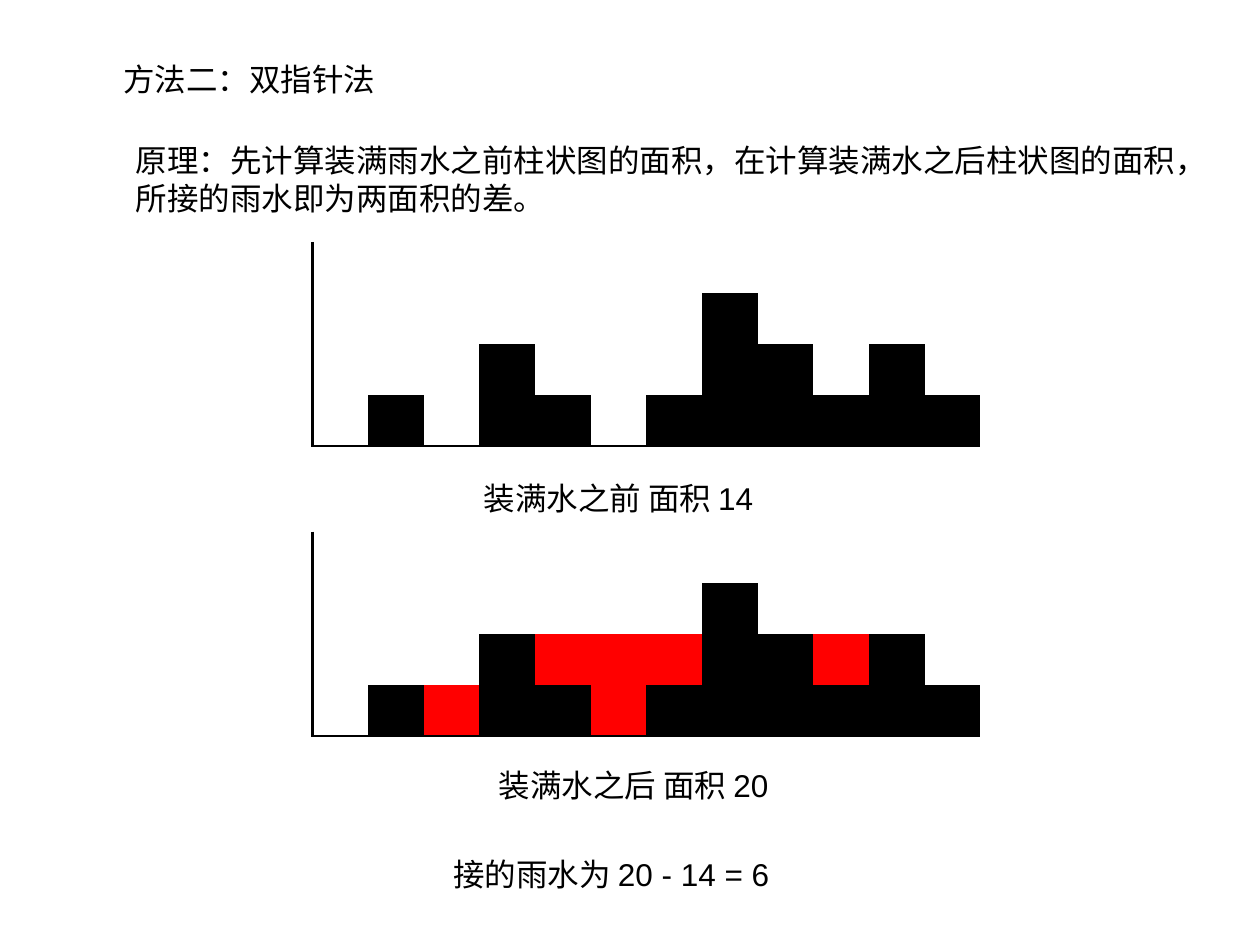
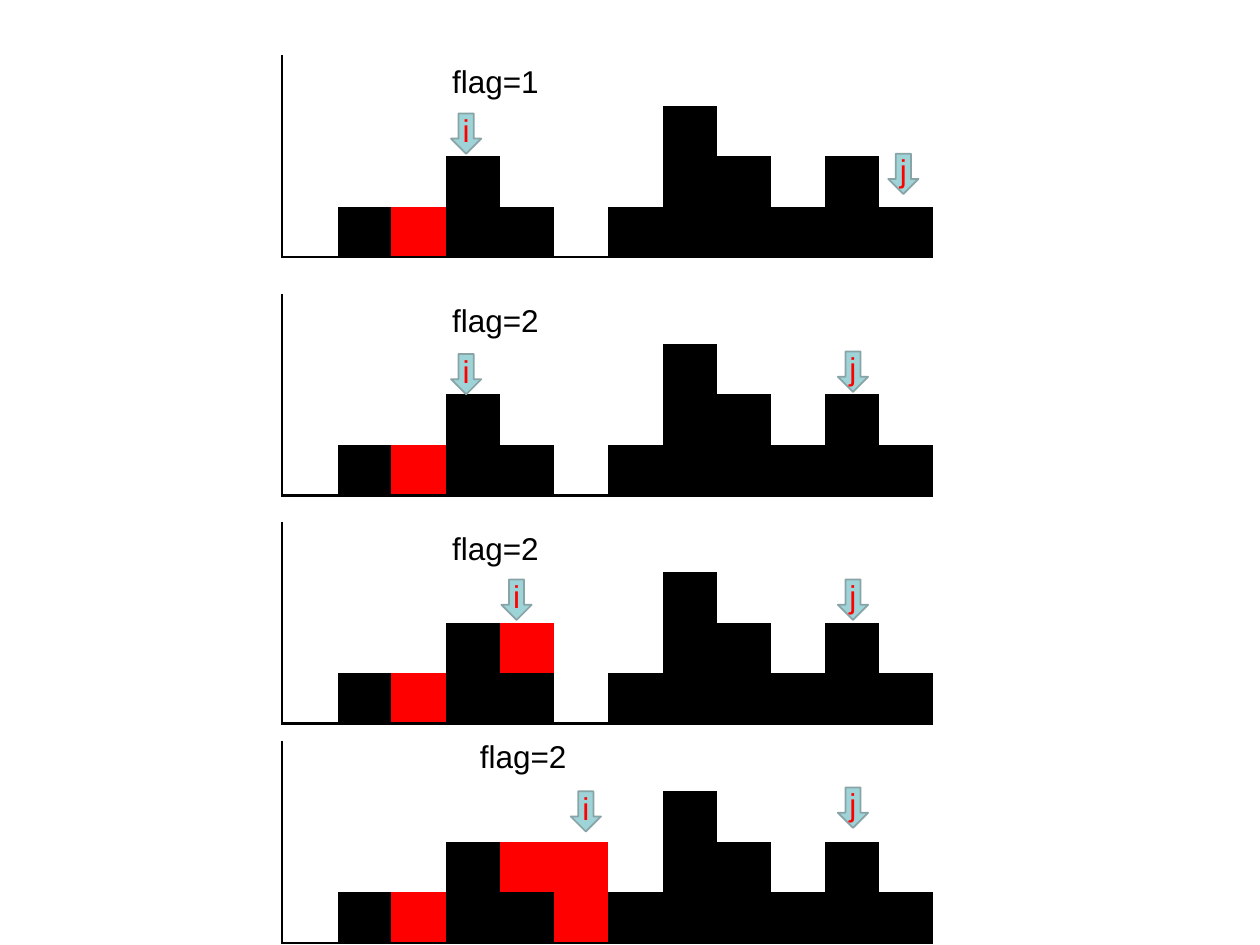
from lxml import etree
from pptx import Presentation
from pptx.dml.color import RGBColor
from pptx.enum.shapes import MSO_SHAPE
from pptx.enum.text import MSO_ANCHOR, PP_ALIGN
from pptx.oxml.ns import qn
from pptx.util import Inches, Pt

DOWN_ARROW = MSO_SHAPE.DOWN_ARROW
MIDDLE = MSO_ANCHOR.MIDDLE
CENTER = PP_ALIGN.CENTER

BLACK, WHITE, RED = "000000", "FFFFFF", "FF0000"
ARROW_FILL, ARROW_LINE = "9ED3D7", "89A4A7"
PLAIN_TABLE = "{2D5ABB26-0587-4C30-8999-92F81FD0307C}"
AXIS_WIDTH = Pt(1.5)

deck = Presentation()
deck.slide_width = Inches(10)
deck.slide_height = Inches(7.5)
COL = deck.slide_width / 100
ROW = deck.slide_height / 75


def rgb(value):
    return RGBColor.from_string(value)


def write(frame, text, color):
    para = frame.paragraphs[0]
    span = para.add_run()
    span.text = text
    span.font.name = "Arial"
    span.font.size = Pt(18)
    span.font.color.rgb = rgb(color)
    return para


blank = deck.slide_layouts[6]
method_page = deck.slides.add_slide(blank)
steps_page = deck.slides.add_slide(blank)

BARS = [0, 1, 0, 2, 1, 0, 1, 3, 2, 1, 2, 1]
LEVELS = 4
LEVEL_ROWS = 4
METHOD_COLS = [4.42] * 12
STEP_COLS = [4.4, 4.2, 4.4] + [4.3] * 9

graphs = [
    (method_page, 24.8, 19.2, METHOD_COLS, {}),
    (method_page, 24.8, 42.2, METHOD_COLS, {2: 1, 4: 2, 5: 2, 6: 2, 9: 2}),
    (steps_page, 22.4, 4.4, STEP_COLS, {2: 1}),
    (steps_page, 22.4, 23.3, STEP_COLS, {2: 1}),
    (steps_page, 22.4, 41.4, STEP_COLS, {2: 1, 4: 2}),
    (steps_page, 22.4, 58.8, STEP_COLS, {2: 1, 4: 2, 5: 2}),
]

for page, left, top, widths, water in graphs:
    table = page.shapes.add_table(
        LEVELS, len(BARS), int(left * COL), int(top * ROW),
        int(sum(widths) * COL), int(LEVELS * LEVEL_ROWS * ROW)).table
    table.first_row = False
    table.horz_banding = False
    table._tbl.tblPr.find(qn("a:tableStyleId")).text = PLAIN_TABLE
    for column, width in enumerate(widths):
        table.columns[column].width = int(width * COL)
        for row in range(LEVELS):
            level = LEVELS - row
            color = WHITE
            if level <= BARS[column]:
                color = BLACK
            elif level <= water.get(column, 0):
                color = RED
            cell = table.cell(row, column)
            cell.fill.solid()
            cell.fill.fore_color.rgb = rgb(color)
            sides = []
            if column == 0:
                sides.append("a:lnL")
            if level == 1:
                sides.append("a:lnB")
            for place, side in enumerate(sides):
                border = etree.Element(qn(side), w=str(AXIS_WIDTH))
                solid = etree.SubElement(border, qn("a:solidFill"))
                etree.SubElement(solid, qn("a:srgbClr"), val=BLACK)
                cell._tc.get_or_add_tcPr().insert(place, border)

arrows = [
    ("i", 35.8, 9), ("j", 70.5, 12.2),
    ("i", 35.8, 28.1), ("j", 66.5, 27.9),
    ("i", 39.8, 46), ("j", 66.5, 46),
    ("i", 45.3, 62.8), ("j", 66.5, 62.5),
]
for pointer, left, top in arrows:
    arrow = steps_page.shapes.add_shape(
        DOWN_ARROW, int(left * COL), int(top * ROW), int(2.4 * COL), int(3.2 * ROW))
    arrow.shadow.inherit = False
    arrow.fill.solid()
    arrow.fill.fore_color.rgb = rgb(ARROW_FILL)
    arrow.line.color.rgb = rgb(ARROW_LINE)
    arrow.line.width = Pt(1)
    arrow.text_frame.vertical_anchor = MIDDLE
    write(arrow.text_frame, pointer, RED).alignment = CENTER

labels = [
    (method_page, 8.8, 4.3, 34.4, "方法二：双指针法"),
    (method_page, 9.8, 10.7, 88.3,
     "原理：先计算装满雨水之前柱状图的面积，在计算装满水之后柱状图的面积，"
     "所接的雨水即为两面积的差。"),
    (method_page, 37.4, 37.5, 33.3, "装满水之前 面积 14"),
    (method_page, 38.6, 60.3, 43.3, "装满水之后 面积 20"),
    (method_page, 35, 67.4, 33.3, "接的雨水为 20 - 14 = 6"),
    (steps_page, 34.9, 4.4, 33.3, "flag=1"),
    (steps_page, 34.9, 23.4, 33.3, "flag=2"),
    (steps_page, 34.9, 41.5, 33.3, "flag=2"),
    (steps_page, 37.1, 58, 33.3, "flag=2"),
]
for page, left, top, width, text in labels:
    box = page.shapes.add_textbox(
        int(left * COL), int(top * ROW), int(width * COL), int(4 * ROW))
    box.text_frame.word_wrap = True
    write(box.text_frame, text, BLACK)

deck.save("out.pptx")
